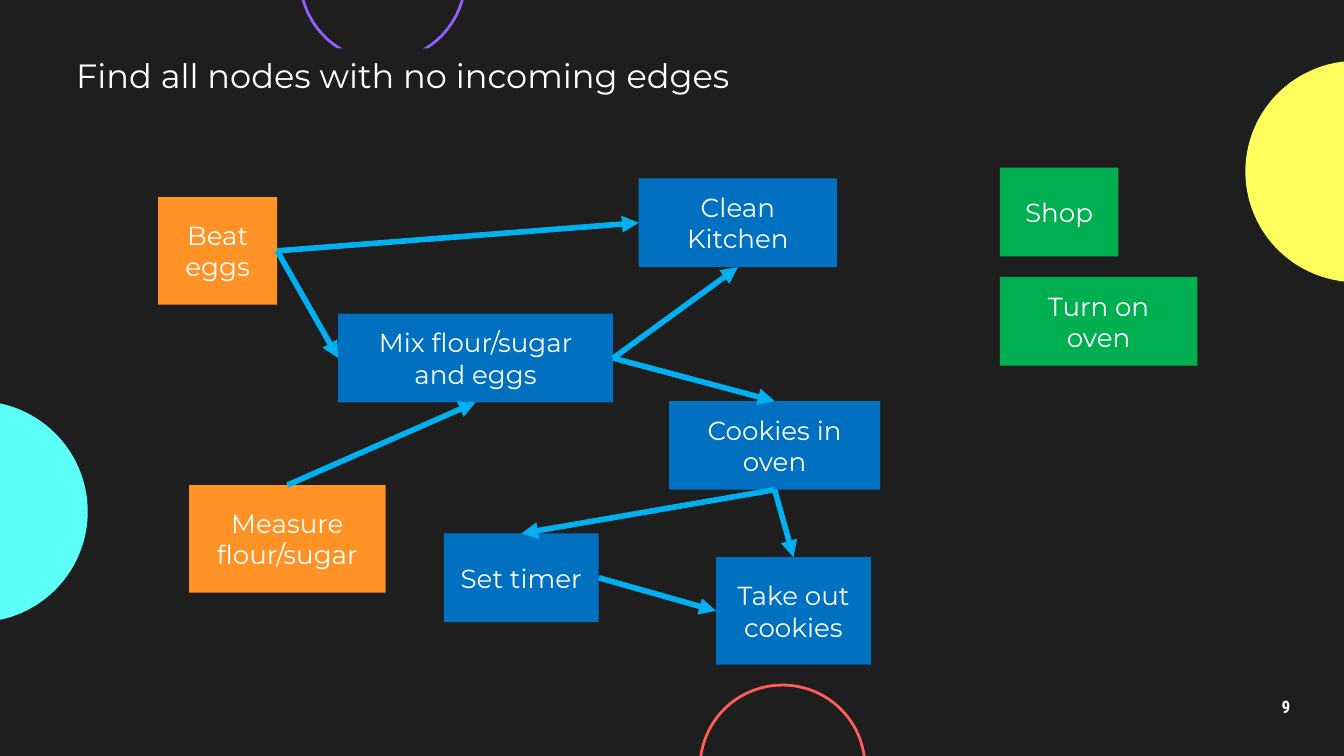
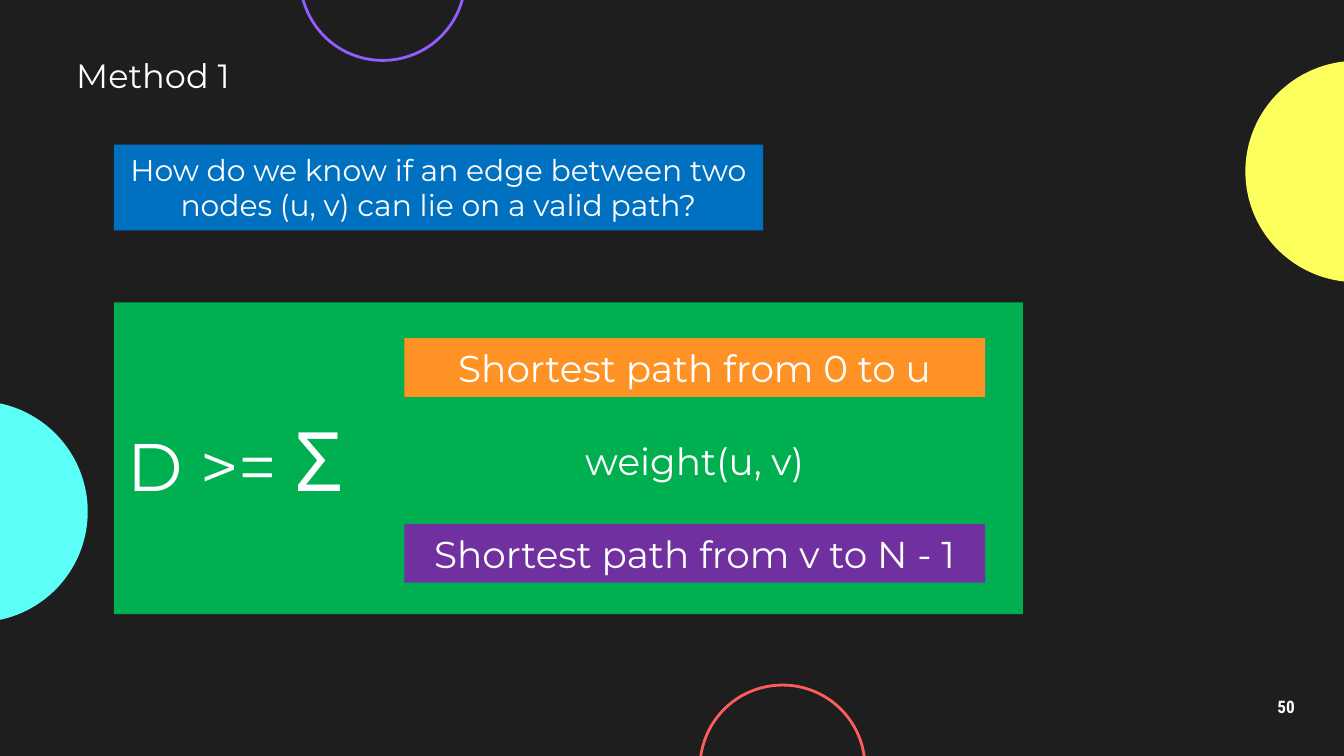
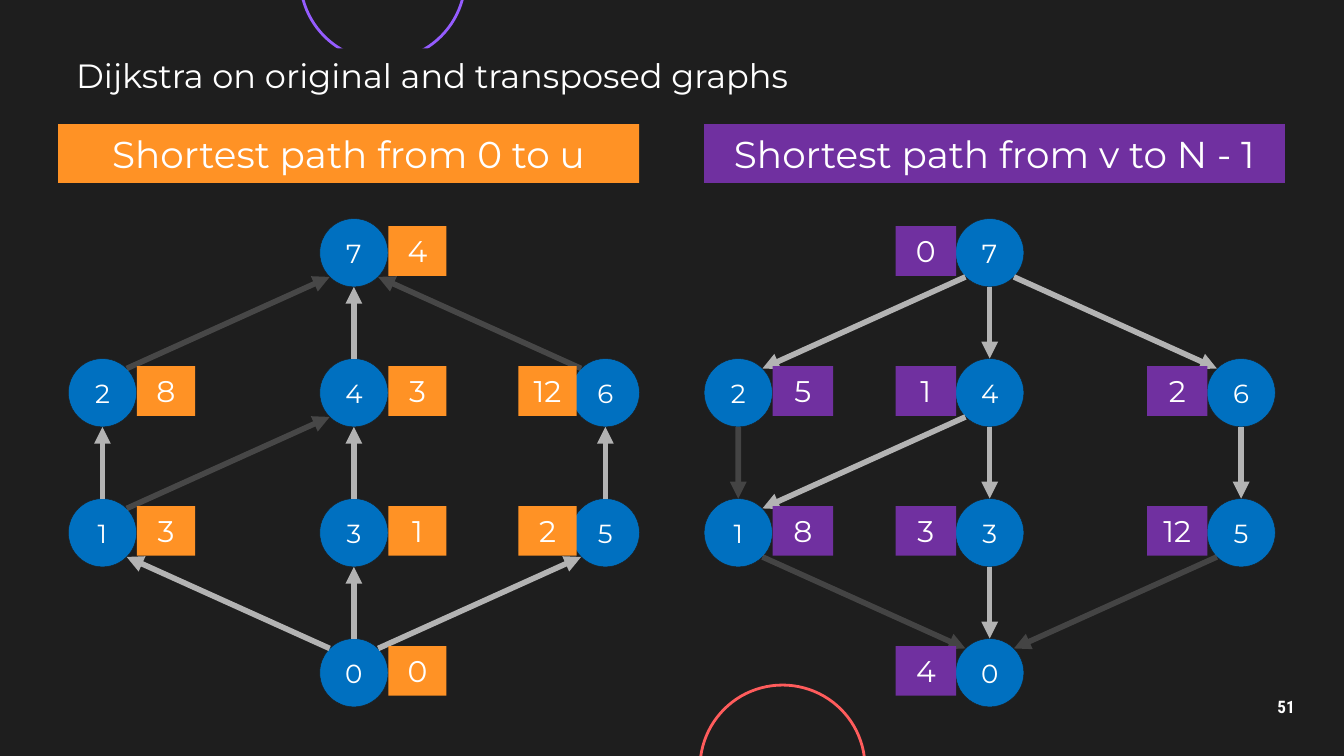
import pptx
import pptx.dml.color
import pptx.enum.dml
import pptx.enum.shapes
import pptx.enum.text
import pptx.oxml.ns
import pptx.util
from lxml import etree

Pt = pptx.util.Pt
SHAPE = pptx.enum.shapes.MSO_SHAPE
ALIGN = pptx.enum.text.PP_ALIGN
ANCHOR = pptx.enum.text.MSO_ANCHOR
qn = pptx.oxml.ns.qn

COLORS = {
    "dark": "1E1E1E", "white": "FFFFFF", "blue": "0070C0", "orange": "FF9225",
    "green": "00B050", "purple": "7030A0", "sky": "00B0F0", "gray": "B3B3B3",
    "silver": "BFBFBF", "cyan": "5CFFF8", "yellow": "FDFF5C",
    "violet": "955CFF", "red": "FF5C5C",
}


def rgb(name):
    return pptx.dml.color.RGBColor.from_string(COLORS[name])


class Slides:
    """House style plus the slide being drawn; lengths are in points."""

    font = "Montserrat"

    def __init__(self):
        self.deck = pptx.Presentation()
        self.deck.slide_width, self.deck.slide_height = Pt(720), Pt(405)
        self.page = None

    def start(self, title, title_width, number, side_circles=True):
        self.page = self.deck.slides.add_slide(self.deck.slide_layouts[6])
        self.page.background.fill.solid()
        self.page.background.fill.fore_color.rgb = rgb("dark")
        # Background circles
        if side_circles:
            self.shape((-72, 214.8, 119, 118.6), "cyan", kind=SHAPE.OVAL)
            self.shape((667.2, 32.6, 119, 118.6), "yellow", kind=SHAPE.OVAL)
        self.shape((160.8, -56, 88.4, 88.4), None, ("violet", 1.5), SHAPE.OVAL)
        self.shape((375, 367, 88.4, 88.4), None, ("red", 1.5), SHAPE.OVAL)
        # Title and page number
        heading = self.block(title, (33.8, 25.9, title_width, 29), "dark", 18,
                             align=ALIGN.LEFT, anchor=ANCHOR.TOP, grow=True)
        heading.text_frame.word_wrap = False
        self.page_number(number)

    def shape(self, area, fill, line=None, kind=SHAPE.RECTANGLE):
        shape = self.page.shapes.add_shape(kind, *map(Pt, area))
        shape.shadow.inherit = False
        if fill:
            shape.fill.solid()
            shape.fill.fore_color.rgb = rgb(fill)
        else:
            shape.fill.background()
        if line:
            shape.line.color.rgb = rgb(line[0])
            shape.line.width = Pt(line[1])
        else:
            shape.line.fill.background()
        return shape

    def set_text(self, box, text, size, align=ALIGN.CENTER, anchor=ANCHOR.MIDDLE, grow=False):
        frame = box.text_frame
        frame.text = text
        frame.word_wrap = True
        frame.vertical_anchor = anchor
        if grow:
            frame.auto_size = pptx.enum.text.MSO_AUTO_SIZE.SHAPE_TO_FIT_TEXT
        para = frame.paragraphs[0]
        para.alignment = align
        for span in para.runs:
            self.style(span, size)
        return box

    def style(self, span, size):
        span.font.name = self.font
        span.font.size = Pt(size)
        span.font.color.rgb = rgb("white")

    def block(self, text, area, fill, size=14, line=None, kind=SHAPE.RECTANGLE, **layout):
        return self.set_text(self.shape(area, fill, line, kind), text, size, **layout)

    def label(self, text, area, size, **layout):
        return self.set_text(self.page.shapes.add_textbox(*map(Pt, area)), text, size, **layout)

    def page_number(self, number):
        box = self.label(number, (667.4, 367.2, 43.2, 24.5), 9.2)
        frame = box.text_frame
        frame.margin_top = frame.margin_bottom = Pt(7.2)
        para = frame.paragraphs[0]
        para.line_spacing = 0.9
        para.runs[0].font.name = "Roboto Condensed"
        para.runs[0].font.bold = True

    def arrow(self, begin, end, color, opacity=None):
        arrow = self.page.shapes.add_connector(
            pptx.enum.shapes.MSO_CONNECTOR.STRAIGHT, *map(Pt, begin + end))
        arrow.line.color.rgb = rgb(color)
        arrow.line.width = Pt(3)
        properties = arrow._element.spPr.find(qn("a:ln"))
        if opacity:
            tint = properties.find(".//" + qn("a:srgbClr"))
            etree.SubElement(tint, qn("a:alpha"), val=str(opacity * 1000))
        etree.SubElement(properties, qn("a:tailEnd"), type="triangle")
        etree.SubElement(arrow._element.spPr, qn("a:effectLst"))
        return arrow

    def link(self, source, source_side, target, target_side):
        arrow = self.arrow((0, 0), (0, 0), "sky")
        arrow.begin_connect(source, source_side)
        arrow.end_connect(target, target_side)


TOP, LEFT, BOTTOM, RIGHT = range(4)
FROM_START = ("Shortest path from 0 to u", "orange")
TO_END = ("Shortest path from v to N - 1", "purple")


def banner(slides, caption, left, top):
    text, fill = caption
    slides.block(text, (left, top, 311.2, 31.5), fill, 20, grow=True)


# Task graph
def task_slide(slides):
    slides.start("Find all nodes with no incoming edges", 379, "9")
    low, tall = 47.5, 57.6
    tasks = {
        "Beat eggs": (84.7, 105.6, 63.8, tall, "orange"),
        "Mix flour/sugar and eggs": (181.2, 168.1, 147.3, low, "blue"),
        "Clean Kitchen": (342.2, 95.6, 106.3, low, "blue"),
        "Cookies in oven": (358.5, 214.9, 113, low, "blue"),
        "Turn on oven": (535.7, 148.4, 105.8, low, "green"),
        "Shop": (535.7, 89.9, 63.5, low, "green"),
        "Measure flour/sugar": (101.3, 259.9, 105.3, tall, "orange"),
        "Set timer": (237.8, 285.8, 83, low, "blue"),
        "Take out cookies": (383.6, 298.5, 83, tall, "blue"),
    }
    boxes = {text: slides.block(text, area, fill)
             for text, (*area, fill) in tasks.items()}
    mix = "Mix flour/sugar and eggs"
    for source, source_side, target, target_side in (
        ("Beat eggs", RIGHT, "Clean Kitchen", LEFT),
        ("Beat eggs", RIGHT, mix, LEFT),
        (mix, RIGHT, "Clean Kitchen", BOTTOM),
        (mix, RIGHT, "Cookies in oven", TOP),
        ("Measure flour/sugar", TOP, mix, BOTTOM),
        ("Cookies in oven", BOTTOM, "Set timer", TOP),
        ("Cookies in oven", BOTTOM, "Take out cookies", TOP),
        ("Set timer", RIGHT, "Take out cookies", LEFT),
    ):
        slides.link(boxes[source], source_side, boxes[target], target_side)


# Path condition
def method_slide(slides):
    slides.start("Method 1", 100, "50")
    slides.block("How do we know if an edge between two nodes (u, v) can lie on a valid path?",
                 (61.1, 77.5, 347.8, 46), "blue", 16, anchor=ANCHOR.TOP, grow=True)
    panel = slides.block("D >= ", (61.1, 162, 487, 167), "green", 36, align=ALIGN.LEFT)
    sigma = panel.text_frame.paragraphs[0].add_run()
    sigma.text = "Σ"
    slides.style(sigma, 44)
    left, top, step = 216.6, 181.2, 49.7
    banner(slides, FROM_START, left, top)
    slides.label("weight(u, v)", (left, top + step, 311.2, 31.5), 20, grow=True)
    banner(slides, TO_END, left, top + 2 * step)


# Weighted graphs
RADIUS = 18.3
GRID = {7: (1, 0), 2: (0, 1), 4: (1, 1), 6: (2, 1),
        1: (0, 2), 3: (1, 2), 5: (2, 2), 0: (1, 3)}  # node: (column, row)
EDGES = ((2, 7), (6, 7), (4, 7), (1, 4), (1, 2), (0, 1), (0, 3), (0, 5), (5, 6), (3, 4))


def rim(center, other):
    """Point on a node's rim facing another node, straight or at 45 degrees."""
    x, y = center
    side = (other[0] > x) - (other[0] < x)
    down = 1 if other[1] > y else -1
    reach = RADIUS * (0.71 if side else 1)
    return x + side * reach, y + down * reach


def graph(slides, left, edges, faint, faint_color, distances, fill, width, offsets):
    centers = {node: (left + 134.7 * column, 135.4 + 75 * row)
               for node, (column, row) in GRID.items()}
    for node, (x, y) in centers.items():
        slides.block(str(node), (x - RADIUS, y - RADIUS, 2 * RADIUS, 2 * RADIUS),
                     "blue", line=("dark", 0.25), kind=SHAPE.OVAL)
    for edge in edges:
        source, target = (centers[node] for node in edge)
        style = (faint_color, 25) if edge in faint else ("gray",)
        slides.arrow(rim(source, target), rim(target, source), *style)
    for node, distance in enumerate(distances):
        x, y = centers[node]
        slides.block(str(distance), (x + offsets[GRID[node][0]], y - 14.2, width, 26.6),
                     fill, 16, anchor=ANCHOR.TOP, grow=True)


def dijkstra_slide(slides):
    slides.start("Dijkstra on original and transposed graphs", 415, "51", side_circles=False)
    banner(slides, FROM_START, 31.2, 66.5)
    banner(slides, TO_END, 377.2, 66.5)
    graph(slides, 54.9, EDGES, {(2, 7), (6, 7), (1, 4)}, "silver",
          (0, 3, 8, 1, 3, 2, 12, 4), "orange", 31.2, (18.4, 18.4, -46.6))
    transposed = [(target, source) for source, target in EDGES]
    graph(slides, 395.5, transposed, {(2, 1), (1, 0), (5, 0)}, "gray",
          (4, 8, 5, 3, 1, 12, 2, 0), "purple", 32.4, (18.4, -50.4, -50.4))


def main():
    slides = Slides()
    task_slide(slides)
    method_slide(slides)
    dijkstra_slide(slides)
    slides.deck.save("out.pptx")


if __name__ == "__main__":
    main()
